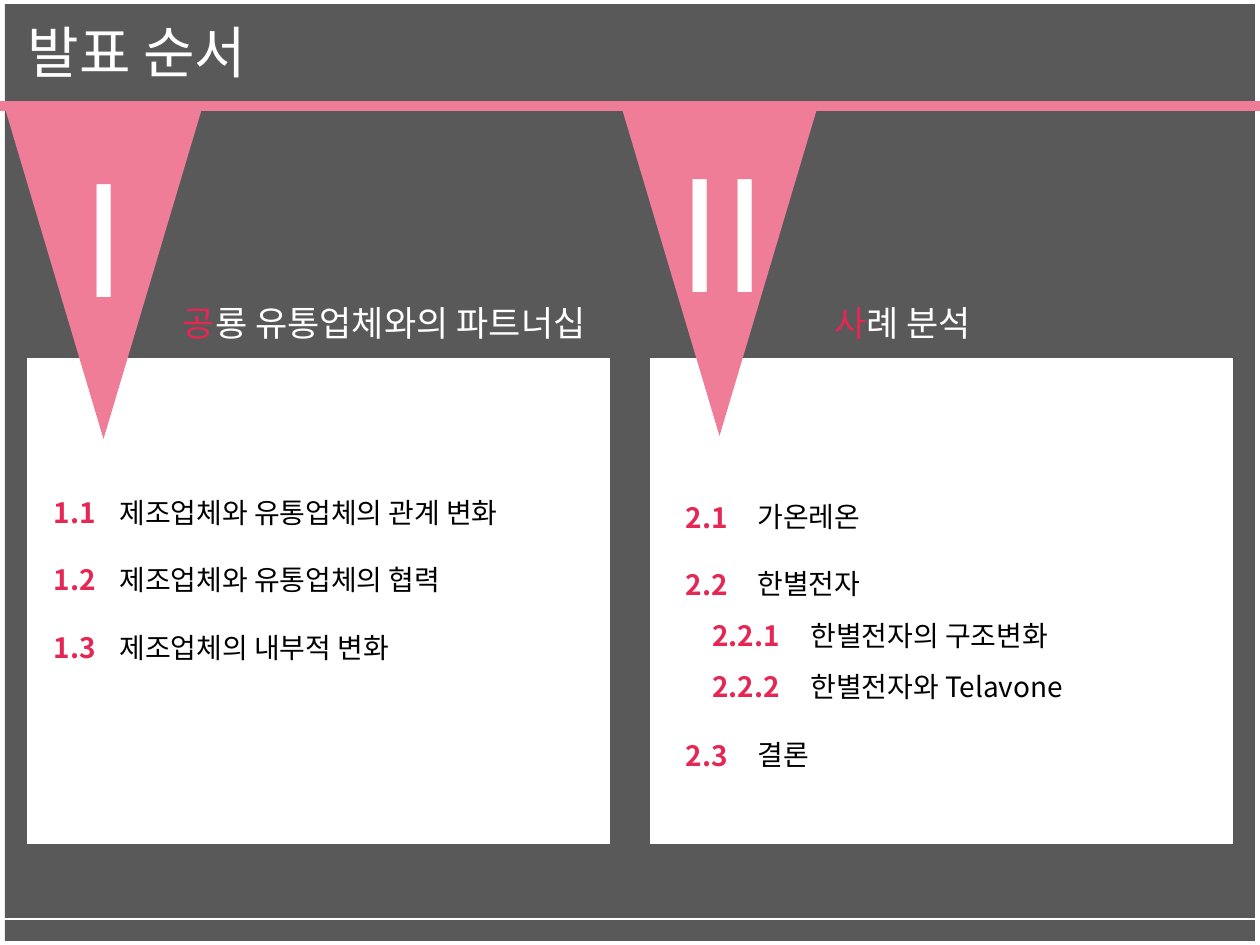
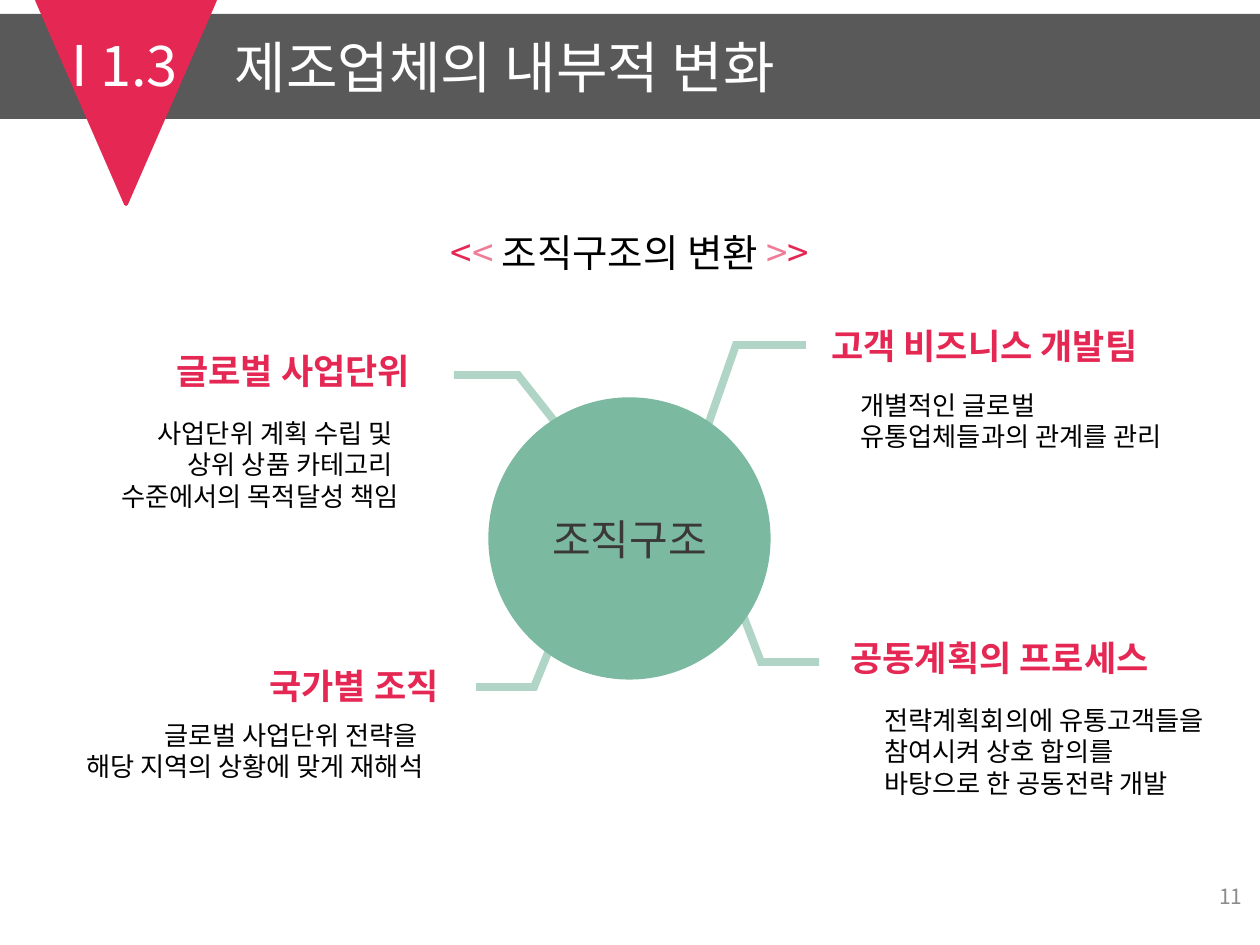
import lxml.etree
import pptx
import pptx.dml.color
import pptx.enum.shapes
import pptx.enum.text
import pptx.oxml.ns
import pptx.util

SCALE = 914400 / 126
COLORS = {
    "dark": "595959",
    "white": "FFFFFF",
    "black": "000000",
    "pink": "EF7D98",
    "red": "E52754",
    "green": "7BB9A0",
    "mint": "B0D5C6",
    "hub_text": "3B3838",
    "page_number": "8C8C8C",
}
FONT = "Noto Sans CJK KR"
ACCENT_FONT = "Roboto"
SHAPE = pptx.enum.shapes.MSO_SHAPE
ALIGN = pptx.enum.text.PP_ALIGN
ANCHOR = pptx.enum.text.MSO_ANCHOR
FIT = pptx.enum.text.MSO_AUTO_SIZE
qn = pptx.oxml.ns.qn


def emu(px):
    return pptx.util.Emu(round(px * SCALE))


def rgb(name):
    return pptx.dml.color.RGBColor.from_string(COLORS[name])


def add_span(para, text, size, color, bold=False, font=FONT):
    for index, line in enumerate(text.split("\n")):
        if index:
            para.add_line_break()
        span = para.add_run()
        span.text = line
        span.font.size = pptx.util.Pt(size)
        span.font.bold = bold
        span.font.color.rgb = rgb(color)
        span.font.name = font
        east_asian = lxml.etree.SubElement(span._r.get_or_add_rPr(), qn("a:ea"))
        east_asian.set("typeface", FONT)


def fill_text(box, paragraphs, size, align=ALIGN.LEFT, spacing=None, **style):
    frame = box.text_frame
    for index, spans in enumerate(paragraphs):
        para = frame.add_paragraph() if index else frame.paragraphs[0]
        para.alignment = align
        if spacing:
            para.line_spacing = spacing
        for text, color in spans:
            add_span(para, text, size, color, **style)


def add_text(page, at, paragraphs, size, align=ALIGN.LEFT, wrap=True, **style):
    box = page.shapes.add_textbox(*map(emu, at))
    box.text_frame.word_wrap = wrap
    box.text_frame.auto_size = FIT.SHAPE_TO_FIT_TEXT
    fill_text(box, paragraphs, size, align, **style)
    return box


def set_title(page, at, text):
    title = page.shapes.title
    title.left, title.top, title.width, title.height = map(emu, at)
    title.text_frame.vertical_anchor = ANCHOR.TOP
    title.text_frame.auto_size = FIT.SHAPE_TO_FIT_TEXT
    fill_text(title, [[(text, "white")]], 32)
    title.element.getparent().append(title.element)


def add_filled(page, kind, at, color, border=0):
    shape = page.shapes.add_shape(kind, *map(emu, at))
    shape.shadow.inherit = False
    shape.fill.solid()
    shape.fill.fore_color.rgb = rgb(color)
    if border:
        shape.line.color.rgb = rgb(color)
        shape.line.width = pptx.util.Pt(border)
    else:
        shape.line.fill.background()
    return shape


def add_pennant(page, at, color, border=0):
    add_filled(page, SHAPE.ISOSCELES_TRIANGLE, at, color, border).rotation = 180


def add_rule(page, y, color, width):
    rule = page.shapes.add_connector(
        pptx.enum.shapes.MSO_CONNECTOR.STRAIGHT, 0, emu(y), emu(1260), emu(y)
    )
    rule.line.color.rgb = rgb(color)
    rule.line.width = pptx.util.Pt(width)
    lxml.etree.SubElement(rule.element.spPr, qn("a:effectLst"))


def add_elbow(page, points):
    builder = page.shapes.build_freeform(*points[0], scale=SCALE)
    builder.add_line_segments(points[1:], close=False)
    elbow = builder.convert_to_shape()
    elbow.shadow.inherit = False
    elbow.fill.background()
    elbow.line.color.rgb = rgb("mint")
    elbow.line.width = pptx.util.Pt(4.5)
    miter = lxml.etree.SubElement(elbow.element.spPr.find(qn("a:ln")), qn("a:miter"))
    miter.set("lim", "800000")


def add_outline(page, number_at, topic_at, entries, spacing=2.0):
    numbers = [[(number, "red")] for number, topic in entries]
    topics = [[(topic, "black")] for number, topic in entries]
    add_text(page, number_at, numbers, 16, ALIGN.RIGHT, spacing=spacing, bold=True)
    add_text(page, topic_at, topics, 16, spacing=spacing)


def add_chapter(page, pennant, numeral, numeral_at, heading, heading_at, align):
    add_pennant(page, pennant, "pink")
    add_text(page, numeral_at, [[(numeral, "white")]], 88, ALIGN.CENTER, wrap=False)
    spans = [(heading[0], "red"), (heading[1:], "white")]
    add_text(page, heading_at, [spans], 20, align)


def add_callout(page, heading, heading_at, notes, notes_at, align):
    add_text(page, heading_at, [[(heading, "red")]], 20,
             wrap=False, bold=True, font=ACCENT_FONT)
    paragraphs = [[(note, "black")] for note in notes]
    add_text(page, notes_at, paragraphs, 15, align, wrap=False)


def build_agenda(page):
    add_filled(page, SHAPE.RECTANGLE, (5, 4, 1250, 937), "dark")
    for left in (27, 650):
        add_filled(page, SHAPE.FLOWCHART_PROCESS, (left, 358, 583, 486), "white")
    add_rule(page, 106, "pink", 6)
    add_chapter(page, (4, 105, 199, 334), "I", (68, 137, 73, 199),
                "공룡 유통업체와의 파트너십", (137, 295, 461, 55), ALIGN.RIGHT)
    add_chapter(page, (620, 102, 199, 334), "II", (662, 132, 121, 199),
                "사례 분석", (761, 295, 283, 55), ALIGN.CENTER)
    add_rule(page, 919, "white", 0.75)
    add_outline(page, (21, 456, 87, 217), (107, 456, 483, 217), [
        ("1.1", "제조업체와 유통업체의 관계 변화"),
        ("1.2", "제조업체와 유통업체의 협력"),
        ("1.3", "제조업체의 내부적 변화"),
    ])
    add_outline(page, (653, 461, 87, 149), (745, 460, 323, 149), [
        ("2.1", "가온레온"),
        ("2.2", "한별전자"),
    ])
    add_outline(page, (646, 596, 146, 115), (798, 596, 323, 115), [
        ("2.2.1", "한별전자의 구조변화"),
        ("2.2.2", "한별전자와 Telavone"),
    ], spacing=1.5)
    add_outline(page, (653, 699, 87, 81), (745, 698, 323, 81), [("2.3", "결론")])
    set_title(page, (15, 11, 835, 81), "발표 순서")


def build_structure(page):
    add_filled(page, SHAPE.RECTANGLE, (0, 14, 1260, 105), "dark")
    add_pennant(page, (37, 0, 178, 204), "red", 2.25)
    add_text(page, (30, 24, 189, 81), [[("I 1.3", "white")]], 32, ALIGN.CENTER)
    set_title(page, (222, 26, 906, 81), "제조업체의 내부적 변화")
    add_text(page, (0, 223, 1260, 59), [[
        ("<", "red"), ("< ", "pink"), ("조직구조의 변환 ", "black"),
        (">", "pink"), (">", "red"),
    ]], 22, ALIGN.CENTER)

    for points in (
        [(707, 428), (736, 345), (806, 345)],
        [(740, 607), (761, 662), (819, 662)],
        [(556, 423), (518, 375), (454, 375)],
        [(556, 633), (534, 687), (476, 687)],
    ):
        add_elbow(page, points)
    hub = add_filled(page, SHAPE.OVAL, (491, 400, 277, 277), "green", 3)
    hub.text_frame.vertical_anchor = ANCHOR.MIDDLE
    fill_text(hub, [[("조직구조", "hub_text")]], 24, ALIGN.CENTER)

    add_callout(page, "글로벌 사업단위", (164, 343, 272, 55),
                ["사업단위 계획 수립 및 ", "상위 상품 카테고리 \n수준에서의 목적달성 책임"],
                (92, 411, 319, 108), ALIGN.RIGHT)
    add_callout(page, "국가별 조직", (257, 658, 204, 55),
                ["글로벌 사업단위 전략을 ", "해당 지역의 상황에 맞게 재해석"],
                (49, 713, 387, 77), ALIGN.RIGHT)
    add_callout(page, "고객 비즈니스 개발팀", (819, 318, 350, 55),
                ["개별적인 글로벌 \n유통업체들과의 관계를 관리"],
                (848, 383, 344, 77), ALIGN.LEFT)
    add_callout(page, "공동계획의 프로세스", (838, 630, 339, 55),
                ["전략계획회의에 유통고객들을 \n참여시켜 상호 합의를 \n바탕으로 한 공동전략 개발"],
                (872, 698, 369, 108), ALIGN.LEFT)
    number = add_text(page, (961, 871, 294, 50), [[("11", "page_number")]], 12, ALIGN.RIGHT)
    number.text_frame.auto_size = FIT.NONE
    number.text_frame.vertical_anchor = ANCHOR.MIDDLE


def main():
    deck = pptx.Presentation()
    deck.slide_width, deck.slide_height = emu(1260), emu(945)
    title_only = deck.slide_layouts[5]
    for build in (build_agenda, build_structure):
        build(deck.slides.add_slide(title_only))
    deck.save("out.pptx")


if __name__ == "__main__":
    main()
